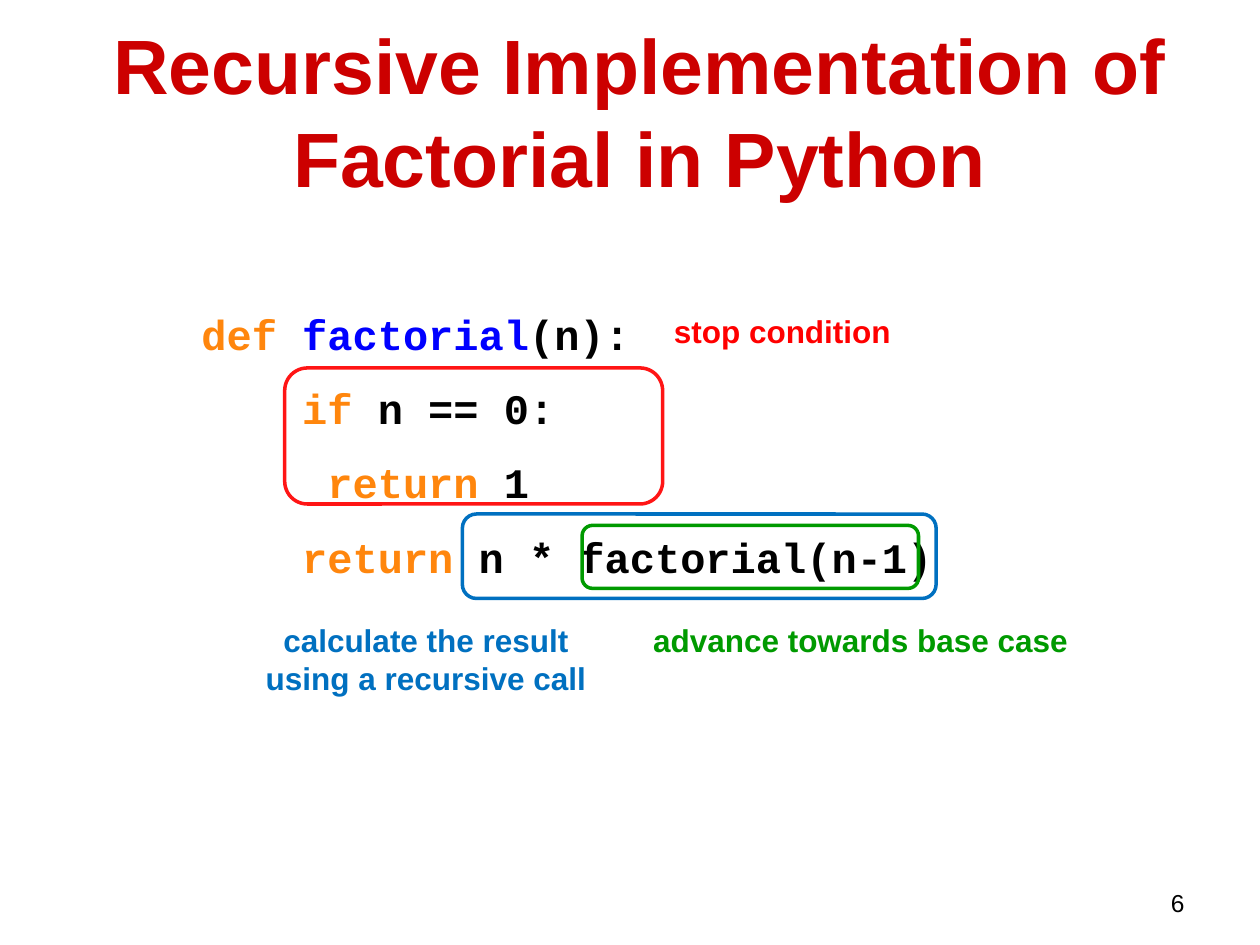
from pptx import Presentation
from pptx.dml.color import RGBColor
from pptx.enum.shapes import MSO_SHAPE
from pptx.enum.text import MSO_ANCHOR, MSO_AUTO_SIZE, PP_ALIGN
from pptx.util import Inches, Pt

BLACK = RGBColor(0x00, 0x00, 0x00)
ORANGE = RGBColor(0xFF, 0x86, 0x0D)
NAVY = RGBColor(0x00, 0x00, 0xFF)
CRIMSON = RGBColor(0xCC, 0x00, 0x00)
RED = RGBColor(0xFF, 0x00, 0x00)
SCARLET = RGBColor(0xFF, 0x15, 0x15)
BLUE = RGBColor(0x00, 0x70, 0xC0)
GREEN = RGBColor(0x00, 0x9A, 0x00)

CODE = [
    [("def ", ORANGE), ("factorial", NAVY), ("(n):", BLACK)],
    [("    ", BLACK), ("if", ORANGE), (" n == 0:", BLACK)],
    [("\t\treturn", ORANGE), (" 1", BLACK)],
    [("    ", BLACK), ("return", ORANGE), (" n * factorial(n-1)", BLACK)],
]
FRAMES = [
    ((3.67, 4.08, 3.76, 0.67), BLUE),
    ((2.26, 2.92, 3, 1.08), SCARLET),
    ((4.62, 4.17, 2.67, 0.5), GREEN),
]
NOTES = [
    ((5.25, 2.43, 2.08, 0.4), "stop condition", RED, PP_ALIGN.LEFT),
    ((5.08, 4.88, 3.5, 0.4), "advance towards base case", GREEN, PP_ALIGN.CENTER),
    ((1.92, 4.88, 2.92, 0.71), "calculate the result using a recursive call",
     BLUE, PP_ALIGN.CENTER),
]


def scale(box):
    return [Inches(side) for side in box]


def add_run(para, text, size, color, bold=True, face="Arial"):
    run = para.add_run()
    run.text = text
    run.font.name = face
    run.font.size = Pt(size)
    run.font.bold = bold
    run.font.color.rgb = color


def add_box(slide, box):
    frame = slide.shapes.add_textbox(*scale(box)).text_frame
    frame.word_wrap = True
    return frame


def add_title(slide, box, text):
    title = slide.shapes.title
    title.left, title.top, title.width, title.height = scale(box)
    frame = title.text_frame
    frame.word_wrap = True
    frame.auto_size = MSO_AUTO_SIZE.NONE
    frame.vertical_anchor = MSO_ANCHOR.MIDDLE
    para = frame.paragraphs[0]
    para.alignment = PP_ALIGN.CENTER
    para.line_spacing = 1.0
    add_run(para, text, 44, CRIMSON)


def add_code(slide, box, lines):
    frame = add_box(slide, box)
    for index, line in enumerate(lines):
        para = frame.add_paragraph() if index else frame.paragraphs[0]
        if index:
            para.space_before = Pt(13.6)
        for text, color in line:
            add_run(para, text, 24, color, face="Courier New")


def add_label(slide, box, text, color, align, size=18, bold=True):
    para = add_box(slide, box).paragraphs[0]
    para.alignment = align
    add_run(para, text, size, color, bold)


def add_frame(slide, box, color):
    shape = slide.shapes.add_shape(MSO_SHAPE.ROUNDED_RECTANGLE, *scale(box))
    shape.shadow.inherit = False
    shape.fill.background()
    shape.line.color.rgb = color
    shape.line.width = Pt(2)


def main():
    deck = Presentation()
    deck.slide_width, deck.slide_height = Inches(10), Inches(7.5)
    slide = deck.slides.add_slide(deck.slide_layouts[5])
    add_title(slide, (0.58, 0.25, 9, 1.25),
              "Recursive Implementation of Factorial in Python")
    add_code(slide, (1.5, 2.4, 6.08, 2.4), CODE)
    for box, color in FRAMES:
        add_frame(slide, box, color)
    for note in NOTES:
        add_label(slide, *note)
    add_label(slide, (7.17, 7, 2.33, 0.25), "6", BLACK, PP_ALIGN.RIGHT, 14, False)
    deck.save("out.pptx")


if __name__ == "__main__":
    main()
